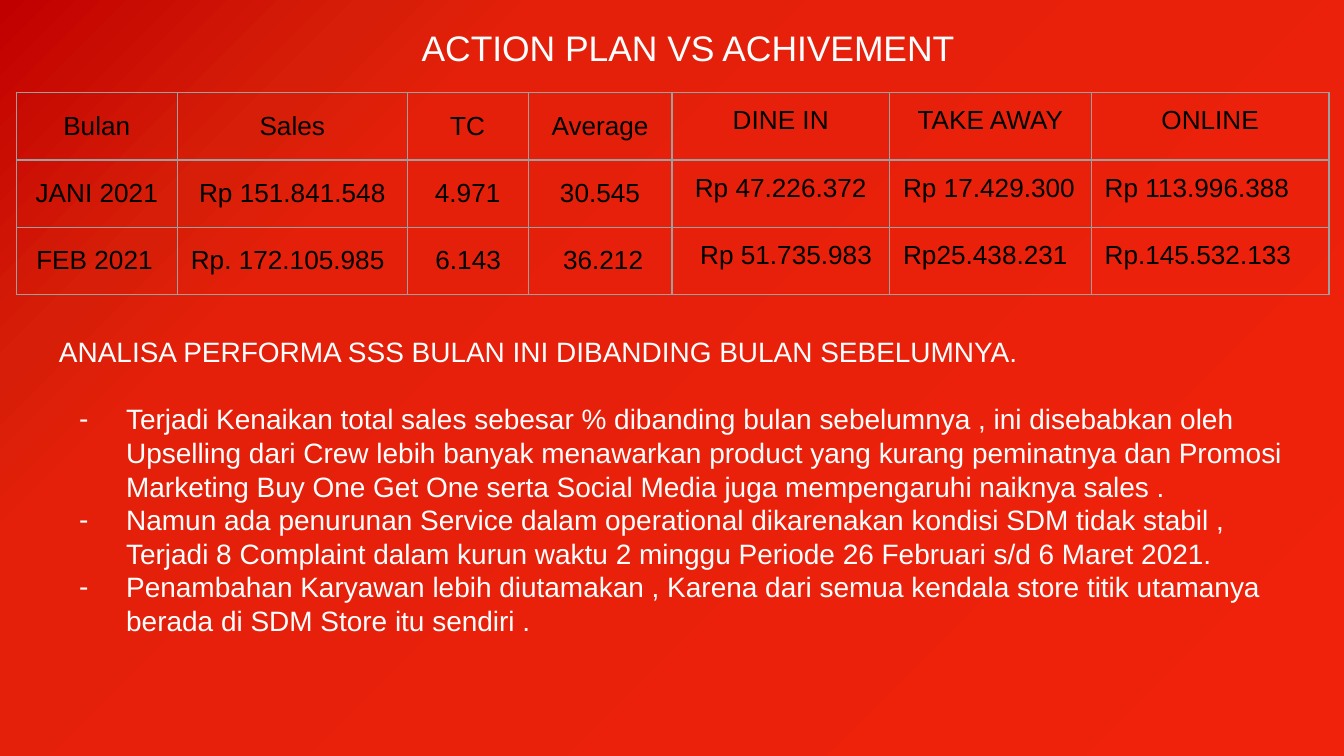
from pptx import Presentation
from pptx.dml.color import RGBColor
from pptx.enum.text import MSO_ANCHOR, PP_ALIGN
from pptx.oxml import parse_xml
from pptx.oxml.ns import nsdecls
from pptx.util import Inches, Pt

# Content
TITLE = "ACTION PLAN VS ACHIVEMENT"
HEADING = "ANALISA PERFORMA SSS BULAN INI DIBANDING BULAN SEBELUMNYA."
BULLETS = [
    "Terjadi Kenaikan total sales sebesar % dibanding bulan sebelumnya , ini disebabkan oleh "
    "Upselling dari Crew lebih banyak menawarkan product yang kurang peminatnya dan Promosi "
    "Marketing Buy One Get One serta Social Media juga mempengaruhi naiknya sales .",
    "Namun ada penurunan Service dalam operational dikarenakan kondisi SDM tidak stabil , "
    "Terjadi 8 Complaint dalam kurun waktu 2 minggu Periode 26 Februari s/d 6 Maret 2021.",
    "Penambahan Karyawan lebih diutamakan , Karena dari semua kendala store titik utamanya "
    "berada di SDM Store itu sendiri .",
]
ROWS = [
    ["Bulan", "Sales", "TC", "Average", "DINE IN", "TAKE AWAY", "ONLINE"],
    ["JANI 2021", "Rp 151.841.548", "4.971", "30.545",
     "Rp 47.226.372", "Rp 17.429.300", "Rp 113.996.388"],
    ["FEB 2021", "Rp. 172.105.985", "6.143", "36.212",
     "Rp 51.735.983", "Rp25.438.231", "Rp.145.532.133"],
]
CENTERED = [7, 5, 0]  # leading cells centred in each row
LAST_ROW_INDENTS = [0.05, 0, 0.11, 0.16, 0.11, 0, 0]
MIDDLE_COLS = 4  # leading columns anchored in the middle
COL_WIDTHS = [1.2, 1.71, 0.9, 1.07, 1.62, 1.5, 1.77]
ROW_HEIGHT = 0.5
SLIDE_WIDTH = 10

THEME = {
    "font": "Arial", "text": "FFFFFF", "cell": "000000", "border": "9E9E9E",
    "title_pt": 19, "body_pt": 15, "cell_pt": 14, "border_pt": 0.75, "inset": 0.1,
    "gradient": [(0, "F0220B"), (74, "E4200A"), (82, "D71E08"), (100, "C00000")],
}


def write(p, text, size, color=THEME["text"], align=PP_ALIGN.LEFT, after=0):
    p.alignment, p.line_spacing, p.space_after = align, 1.0, Pt(after)
    r = p.add_run()
    r.text = text
    r.font.name, r.font.size = THEME["font"], Pt(size)
    r.font.color.rgb = RGBColor.from_string(color)


def set_insets(obj, indent=0):
    obj.margin_right = obj.margin_top = obj.margin_bottom = Inches(THEME["inset"])
    obj.margin_left = Inches(THEME["inset"] + indent)


def add_textbox(s, *box):
    tf = s.shapes.add_textbox(*map(Inches, box)).text_frame
    tf.word_wrap = True
    set_insets(tf)
    return tf


def add_bullet(p):
    pPr = p._p.get_or_add_pPr()
    pPr.set("marL", str(Inches(0.5)))
    pPr.set("indent", str(Inches(-0.35)))
    for xml in (f'<a:buClr {nsdecls("a")}><a:srgbClr val="{THEME["text"]}"/></a:buClr>',
                f'<a:buFont {nsdecls("a")} typeface="{THEME["font"]}"/>',
                f'<a:buChar {nsdecls("a")} char="-"/>'):
        pPr.append(parse_xml(xml))


def add_borders(cell):
    tcPr = cell._tc.get_or_add_tcPr()
    for i, side in enumerate("LRTB"):
        tcPr.insert(i, parse_xml(
            f'<a:ln{side} {nsdecls("a")} w="{Pt(THEME["border_pt"])}"><a:solidFill>'
            f'<a:srgbClr val="{THEME["border"]}"/></a:solidFill></a:ln{side}>'))


def add_background(s):
    stops = "".join(f'<a:gs pos="{pos * 1000}"><a:srgbClr val="{color}"/></a:gs>'
                    for pos, color in THEME["gradient"])
    s.element.cSld.insert(0, parse_xml(
        f'<p:bg {nsdecls("p", "a")}><p:bgPr><a:gradFill><a:gsLst>{stops}</a:gsLst>'
        '<a:path path="circle"><a:fillToRect l="100000" t="100000"/></a:path>'
        '<a:tileRect r="-100000" b="-100000"/></a:gradFill><a:effectLst/></p:bgPr></p:bg>'))


prs = Presentation()
prs.slide_width, prs.slide_height = Inches(SLIDE_WIDTH), Inches(SLIDE_WIDTH * 9 / 16)
s = prs.slides.add_slide(prs.slide_layouts[6])
add_background(s)

# Analysis
tf = add_textbox(s, 0.34, 2.39, 9.32, 2.95)
write(tf.paragraphs[0], HEADING, THEME["body_pt"], after=18)
for text in BULLETS:
    p = tf.add_paragraph()
    write(p, text, THEME["body_pt"])
    add_bullet(p)

# Sales table
table = s.shapes.add_table(
    len(ROWS), len(COL_WIDTHS), Inches(0.12), Inches(0.69),
    Inches(sum(COL_WIDTHS)), Inches(ROW_HEIGHT * len(ROWS))).table
table.first_row = table.horz_banding = False
for col, width in zip(table.columns, COL_WIDTHS):
    col.width = Inches(width)
for i, row in enumerate(ROWS):
    for j, text in enumerate(row):
        cell = table.cell(i, j)
        cell.fill.background()
        set_insets(cell, LAST_ROW_INDENTS[j] if i == len(ROWS) - 1 else 0)
        cell.vertical_anchor = MSO_ANCHOR.MIDDLE if j < MIDDLE_COLS else MSO_ANCHOR.TOP
        write(cell.text_frame.paragraphs[0], text, THEME["cell_pt"], color=THEME["cell"],
              align=PP_ALIGN.CENTER if j < CENTERED[i] else PP_ALIGN.LEFT)
        add_borders(cell)

# Title
tf = add_textbox(s, 2.13, 0.09, 5.98, 0.52)
write(tf.paragraphs[0], TITLE, THEME["title_pt"], align=PP_ALIGN.CENTER)

prs.save("out.pptx")
